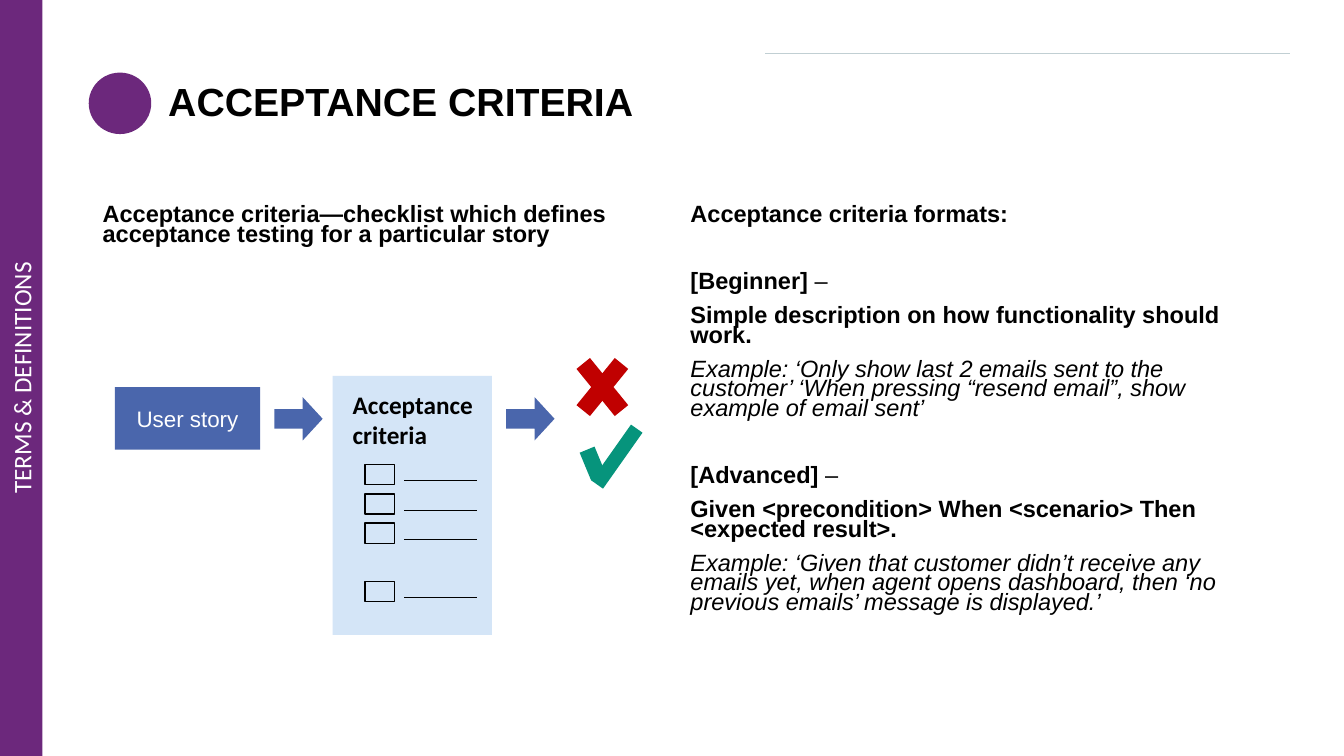
import pptx
import pptx.util
import pptx.dml.color
import pptx.enum.shapes
import pptx.enum.text
import pptx.oxml.ns
import lxml.etree

Inches, Pt = pptx.util.Inches, pptx.util.Pt
SHAPE = pptx.enum.shapes.MSO_SHAPE
ALIGN = pptx.enum.text.PP_ALIGN
ANCHOR = pptx.enum.text.MSO_ANCHOR

COLORS = {
    "purple": "6C287C", "blue": "4A66AC", "pale": "D4E5F7", "red": "C00000",
    "green": "06947C", "rule": "C1CFD3", "black": "000000", "white": "FFFFFF",
}

# Content: a paragraph is (space before in points, [(text, style), ...])
SIDE_LABEL = "TERMS & DEFINITIONS"
TITLE = "ACCEPTANCE CRITERIA"
STORY = "User story"
CARD_TITLE = "Acceptance criteria"
DEFINITION = [
    (0, [("Acceptance criteria—checklist which defines acceptance testing "
          "for a particular story", "bold")]),
]
FORMATS = [
    (0, [("Acceptance criteria formats:", "bold")]),
    (34, [("[Beginner] ", "bold"), ("–", "plain")]),
    (10, [("Simple description on how functionality should work.", "bold")]),
    (10, [("Example: ‘Only show last 2 emails sent to the customer’ ‘When pressing "
           "“resend email”, show example of email sent’", "italic")]),
    (34, [("[Advanced] ", "bold"), ("–", "plain")]),
    (10, [("Given <precondition> When <scenario> Then <expected result>.", "bold")]),
    (10, [("Example: ‘Given that customer didn’t receive any emails yet, when agent "
           "opens dashboard, then ‘no previous emails’ message is displayed.’", "italic")]),
]
COLUMNS = [(0.92, DEFINITION), (6.75, FORMATS)]
ARROW_LEFTS = [2.72, 5.02]
CHECKLIST_SLOTS = [0, 1, 2, 4]
CHECKLIST_TOP, CHECKLIST_PITCH = 4.61, 0.29
CHECK_STROKES = [(5.78, 4.46, 0.68, 0.14, 305.2), (5.73, 4.52, 0.3, 0.16, 67.5)]

deck = pptx.Presentation()
deck.slide_width, deck.slide_height = Inches(13.33), Inches(7.5)
page = deck.slides.add_slide(deck.slide_layouts[6])


def rgb(name):
    return pptx.dml.color.RGBColor.from_string(COLORS[name])


def add_block(left, top, width, height, kind=SHAPE.RECTANGLE, fill=None, line=None, rotation=0):
    block = page.shapes.add_shape(
        kind, Inches(left), Inches(top), Inches(width), Inches(height))
    block.shadow.inherit = False
    block.rotation = rotation
    if fill:
        block.fill.solid()
        block.fill.fore_color.rgb = rgb(fill)
    else:
        block.fill.background()
    if line:
        block.line.color.rgb = rgb(line)
        block.line.width = Pt(1)
    else:
        block.line.fill.background()
    return block


def add_box(left, top, width, height):
    return page.shapes.add_textbox(Inches(left), Inches(top), Inches(width), Inches(height))


def add_rule(left, right, top, color):
    rule = page.shapes.add_connector(
        pptx.enum.shapes.MSO_CONNECTOR.STRAIGHT,
        Inches(left), Inches(top), Inches(right), Inches(top))
    rule.line.color.rgb = rgb(color)
    rule.line.width = Pt(0.5)
    lxml.etree.SubElement(rule._element.spPr, pptx.oxml.ns.qn("a:effectLst"))


def write(box, content, size=16.8, font="Arial", color="black", align=ALIGN.LEFT,
          anchor=ANCHOR.TOP, spacing=1.0, style="bold"):
    """Fill a box with one string or a list of paragraphs."""
    if isinstance(content, str):
        content = [(0, [(content, style)])]
    frame = box.text_frame
    frame.word_wrap = True
    frame.vertical_anchor = anchor
    for index, (before, spans) in enumerate(content):
        para = frame.add_paragraph() if index else frame.paragraphs[0]
        para.alignment = align
        para.line_spacing = spacing
        if before:
            para.space_before = Pt(before)
        for text, look in spans:
            span = para.add_run()
            span.text = text
            span.font.name, span.font.size = font, Pt(size)
            span.font.color.rgb = rgb(color)
            span.font.bold = look == "bold"
            span.font.italic = look == "italic"


# Frame: top rule and side band
add_rule(7.59, 12.79, 0.53, "rule")
band = add_block(0, 0, 0.42, 7.5, fill="purple")
write(band, SIDE_LABEL, size=18, font="Calibri", color="white", align=ALIGN.CENTER,
      anchor=ANCHOR.MIDDLE, style="plain")
band.text_frame._txBody.bodyPr.set("vert", "vert270")

# Title with its dot
write(add_box(1.57, 0.62, 10.85, 0.81), TITLE, size=28, anchor=ANCHOR.MIDDLE, spacing=0.9)
add_block(0.88, 0.72, 0.62, 0.61, SHAPE.OVAL, fill="purple")

# Text columns
for left, paragraphs in COLUMNS:
    write(add_box(left, 2, 5.67, 4.76), paragraphs, spacing=0.7)

# User story and criteria card
story = add_block(1.14, 3.84, 1.44, 0.62, fill="blue")
write(story, STORY, size=16, color="white", align=ALIGN.CENTER,
      anchor=ANCHOR.MIDDLE, style="plain")
add_block(3.3, 3.73, 1.58, 2.57, fill="pale")
write(add_box(3.4, 3.81, 1.71, 0.71), CARD_TITLE, size=18, font="Calibri")

# Checklist rows
for slot in CHECKLIST_SLOTS:
    top = CHECKLIST_TOP + slot * CHECKLIST_PITCH
    add_block(3.62, top, 0.29, 0.2, line="black")
    add_rule(4.01, 4.73, top + 0.16, "black")

# Flow arrows
for left in ARROW_LEFTS:
    arrow = add_block(left, 3.94, 0.48, 0.43, SHAPE.RIGHT_ARROW, fill="blue")
    arrow.adjustments[0], arrow.adjustments[1] = 0.45, 0.46

# Fail and pass marks
add_block(5.61, 3.39, 0.73, 0.9, SHAPE.MATH_MULTIPLY, fill="red")
for left, top, width, height, rotation in CHECK_STROKES:
    add_block(left, top, width, height, fill="green", rotation=rotation)

deck.save("out.pptx")
